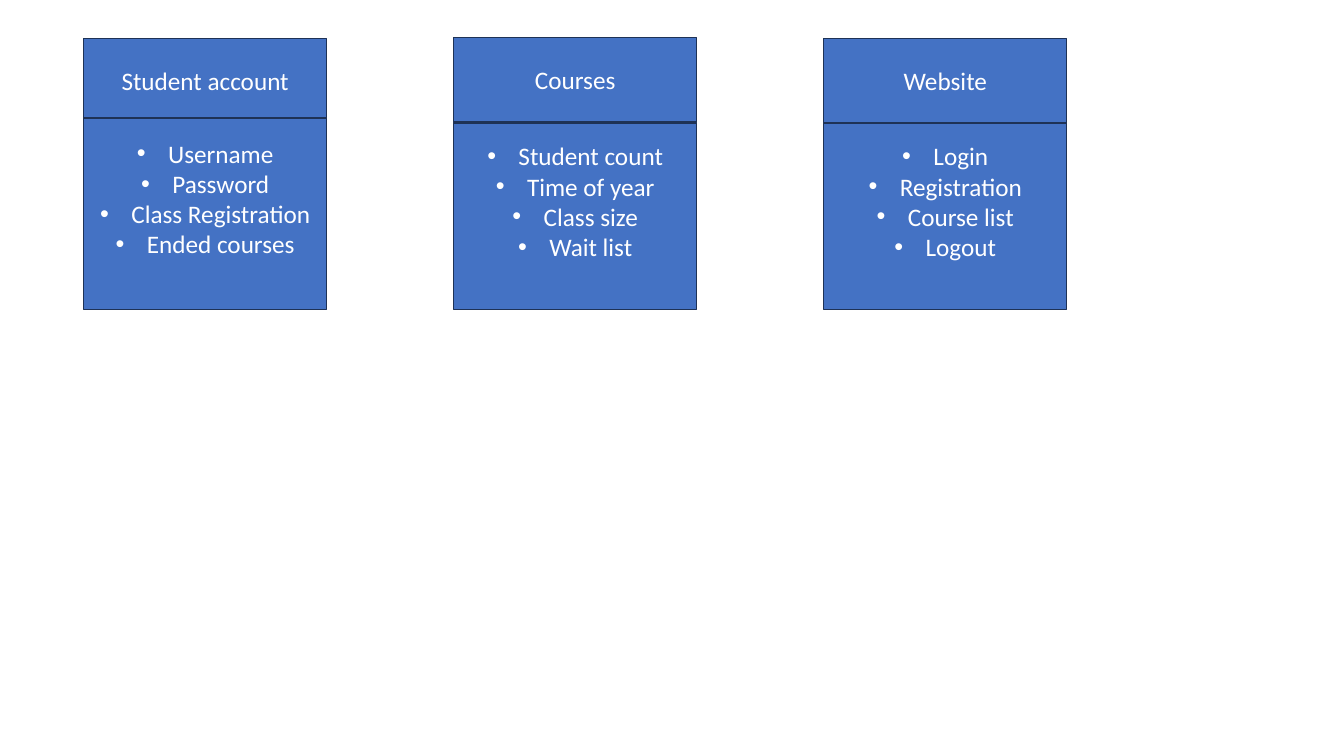
"""Build a slide of three class boxes, each a name above its list of members."""
from pptx import Presentation
from pptx.dml.color import RGBColor
from pptx.enum.shapes import MSO_SHAPE as Shape
from pptx.enum.text import MSO_ANCHOR as Anchor, PP_ALIGN as Align
from pptx.oxml.ns import qn
from pptx.util import Inches, Pt

CLASSES = [
    {"name": "Student account", "top": 0.38, "split": 1.17,
     "members": ["Username", "Password", "Class Registration", "Ended courses"]},
    {"name": "Courses", "top": 0.37, "split": 1.22,
     "members": ["Student count", "Time of year", "Class size", "Wait list"]},
    {"name": "Website", "top": 0.38, "split": 1.22,
     "members": ["Login", "Registration", "Course list", "Logout"]},
]

BLUE = RGBColor(0x44, 0x72, 0xC4)
NAVY = RGBColor(0x1E, 0x32, 0x56)
WHITE = RGBColor(0xFF, 0xFF, 0xFF)

SLIDE_WIDTH, SLIDE_HEIGHT = 13.33, 7.5
FIRST_LEFT, COLUMN_STEP, BOX_WIDTH = 0.83, 3.67, 2.41
NAME_HEIGHT, LIST_BOTTOM = 0.84, 3.07
INDENT, LIST_INSET = 0.31, 0.35


def add_bullet(para):
    properties = para._p.get_or_add_pPr()
    properties.set("marL", str(Inches(INDENT)))
    properties.set("indent", str(-Inches(INDENT)))
    font = properties.makeelement(qn("a:buFont"), {"typeface": "Arial"})
    bullet = properties.makeelement(qn("a:buChar"), {"char": "•"})
    properties.extend([font, bullet])


def write(box, lines, size=18, font="Calibri", color=WHITE, bulleted=False):
    frame = box.text_frame
    frame.word_wrap = True
    frame.vertical_anchor = Anchor.MIDDLE
    for index, line in enumerate(lines):
        para = frame.add_paragraph() if index else frame.paragraphs[0]
        para.alignment = Align.CENTER
        if bulleted:
            add_bullet(para)
        span = para.add_run()
        span.text = line
        span.font.size = Pt(size)
        span.font.name = font
        span.font.color.rgb = color


def add_box(page, left, top, height):
    box = page.shapes.add_shape(
        Shape.RECTANGLE, Inches(left), Inches(top), Inches(BOX_WIDTH), Inches(height))
    box.shadow.inherit = False
    box.fill.solid()
    box.fill.fore_color.rgb = BLUE
    box.line.color.rgb = NAVY
    box.line.width = Pt(1)
    return box


def main():
    deck = Presentation()
    deck.slide_width, deck.slide_height = Inches(SLIDE_WIDTH), Inches(SLIDE_HEIGHT)
    page = deck.slides.add_slide(deck.slide_layouts[6])
    for column, entry in enumerate(CLASSES):
        left = FIRST_LEFT + column * COLUMN_STEP
        name_box = add_box(page, left, entry["top"], NAME_HEIGHT)
        write(name_box, [entry["name"]])
        list_box = add_box(page, left, entry["split"], LIST_BOTTOM - entry["split"])
        list_box.text_frame.margin_bottom = Inches(LIST_INSET)
        write(list_box, entry["members"], bulleted=True)
    deck.save("out.pptx")


if __name__ == "__main__":
    main()
